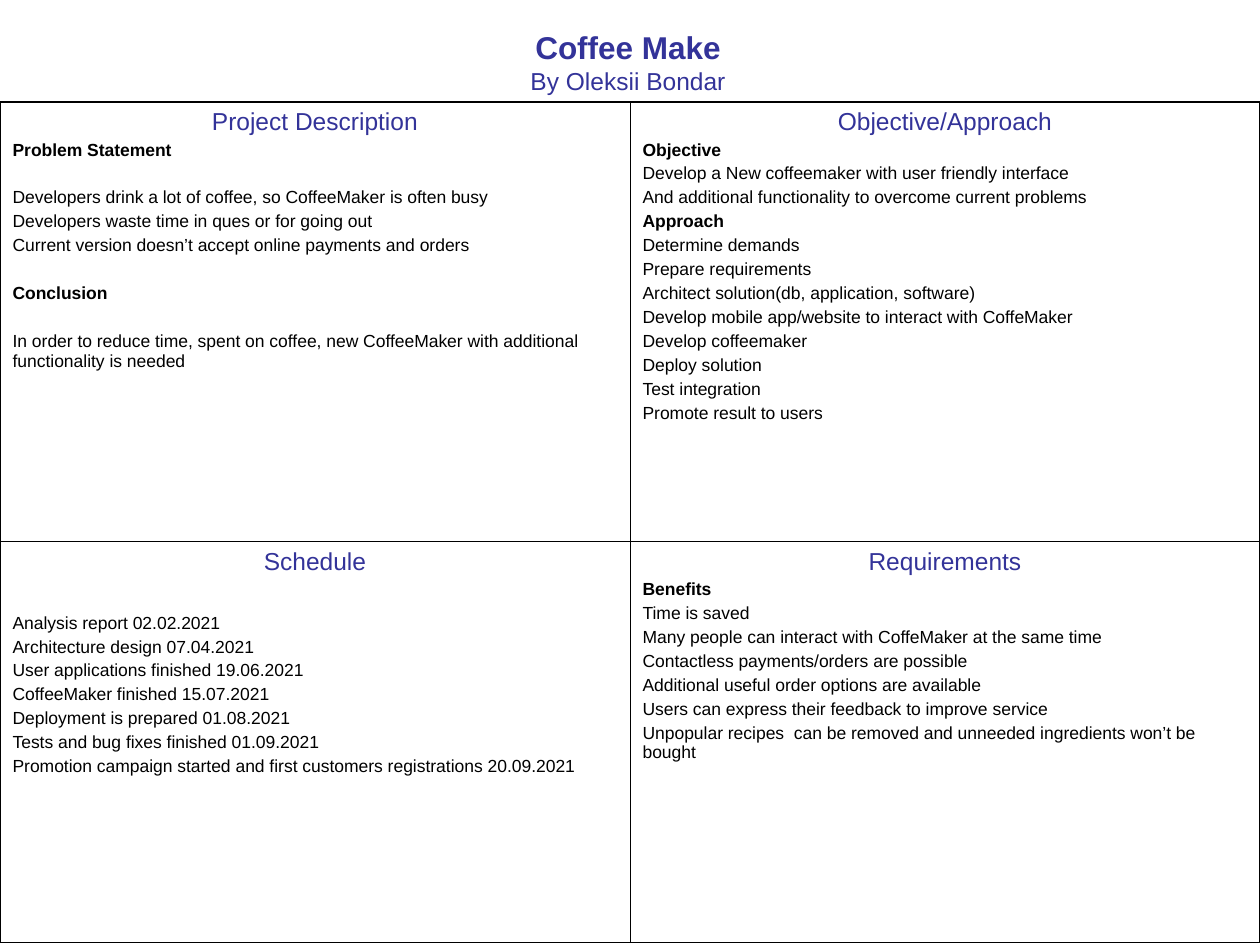
from lxml import etree
from pptx import Presentation
from pptx import util as u
from pptx.dml import color
from pptx.enum import text
from pptx.oxml import ns

BLUE, BLACK = "333399", "000000"
OUTER, INNER = 1.08, 0.45
LINE_GAP, BLANK_GAP, SCHEDULE_GAP = 2.5, 16.2, 21.6

HEADING = [("Coffee Make", 18, True), ("By Oleksii Bondar", 14, False)]

QUADRANTS = [
    [
        ("Project Description", [
            ("Problem Statement", True, LINE_GAP),
            ("Developers drink a lot of coffee, so CoffeeMaker is often busy", False, BLANK_GAP),
            ("Developers waste time in ques or for going out", False, LINE_GAP),
            ("Current version doesn’t accept online payments and orders", False, LINE_GAP),
            ("Conclusion", True, BLANK_GAP),
            ("In order to reduce time, spent on coffee, new CoffeeMaker with additional "
             "functionality is needed", False, BLANK_GAP),
        ]),
        ("Objective/Approach", [
            ("Objective", True, LINE_GAP),
            ("Develop a New coffeemaker with user friendly interface", False, LINE_GAP),
            ("And additional functionality to overcome current problems", False, LINE_GAP),
            ("Approach", True, LINE_GAP),
            ("Determine demands", False, LINE_GAP),
            ("Prepare requirements", False, LINE_GAP),
            ("Architect solution(db, application, software)", False, LINE_GAP),
            ("Develop mobile app/website to interact with CoffeMaker", False, LINE_GAP),
            ("Develop coffeemaker", False, LINE_GAP),
            ("Deploy solution", False, LINE_GAP),
            ("Test integration", False, LINE_GAP),
            ("Promote result to users", False, LINE_GAP),
        ]),
    ],
    [
        ("Schedule", [
            ("Analysis report 02.02.2021", False, SCHEDULE_GAP),
            ("Architecture design 07.04.2021", False, LINE_GAP),
            ("User applications finished 19.06.2021", False, LINE_GAP),
            ("CoffeeMaker finished 15.07.2021", False, LINE_GAP),
            ("Deployment is prepared 01.08.2021", False, LINE_GAP),
            ("Tests and bug fixes finished 01.09.2021", False, LINE_GAP),
            ("Promotion campaign started and first customers registrations 20.09.2021",
             False, LINE_GAP),
        ]),
        ("Requirements", [
            ("Benefits", True, LINE_GAP),
            ("Time is saved", False, LINE_GAP),
            ("Many people can interact with CoffeMaker at the same time", False, LINE_GAP),
            ("Contactless payments/orders are possible", False, LINE_GAP),
            ("Additional useful order options are available", False, LINE_GAP),
            ("Users can express their feedback to improve service", False, LINE_GAP),
            ("Unpopular recipes  can be removed and unneeded ingredients won’t be bought",
             False, LINE_GAP),
        ]),
    ],
]
ROW_HEIGHTS = [3.49, 3.18]


def set_all(target, values):
    for name, value in values.items():
        setattr(target, name, value)


def write(frame, lines):
    for index, (words, size, bold, hex_color, centred, gap) in enumerate(lines):
        paragraph = frame.add_paragraph() if index else frame.paragraphs[0]
        alignment = text.PP_ALIGN.CENTER if centred else text.PP_ALIGN.LEFT
        set_all(paragraph, {"alignment": alignment, "space_before": u.Pt(gap)})
        run = paragraph.add_run()
        run.text = words
        set_all(run.font, {"name": "Arial", "size": u.Pt(size), "bold": bold})
        run.font.color.rgb = color.RGBColor.from_string(hex_color)


def set_borders(cell, widths):
    properties = cell._tc.get_or_add_tcPr()
    for index, (side, width) in enumerate(widths.items()):
        line = etree.Element(ns.qn(f"a:ln{side}"), w=str(u.Pt(width)))
        fill = etree.SubElement(line, ns.qn("a:solidFill"))
        etree.SubElement(fill, ns.qn("a:srgbClr"), val=BLACK)
        properties.insert(index, line)


def add_heading(slide):
    title = slide.shapes.title
    set_all(title, {"left": u.Inches(0.82), "top": u.Inches(0.17),
                    "width": u.Inches(8.33), "height": u.Inches(0.64)})
    set_all(title.text_frame, {"word_wrap": True, "auto_size": text.MSO_AUTO_SIZE.NONE,
                               "vertical_anchor": text.MSO_ANCHOR.TOP})
    write(title.text_frame,
          [(words, size, bold, BLUE, True, 0) for words, size, bold in HEADING])


def add_quadrants(slide):
    rows, columns = len(QUADRANTS), len(QUADRANTS[0])
    table = slide.shapes.add_table(rows, columns, 0, u.Inches(0.81), u.Inches(10),
                                   u.Inches(sum(ROW_HEIGHTS))).table
    set_all(table, {"first_row": False, "horz_banding": False})
    for row, quadrants in enumerate(QUADRANTS):
        table.rows[row].height = u.Inches(ROW_HEIGHTS[row])
        for column, (title, body) in enumerate(quadrants):
            cell = table.cell(row, column)
            cell.fill.background()
            set_borders(cell, {
                "L": INNER if column else OUTER,
                "R": OUTER if column == columns - 1 else INNER,
                "T": INNER if row else OUTER,
                "B": OUTER if row == rows - 1 else INNER,
            })
            write(cell.text_frame, [(title, 14, False, BLUE, True, 3.5)] + [
                (words, 10, bold, BLACK, False, gap) for words, bold, gap in body])


def main():
    presentation = Presentation()
    set_all(presentation, {"slide_width": u.Inches(10), "slide_height": u.Inches(7.5)})
    slide = presentation.slides.add_slide(presentation.slide_layouts[5])
    add_heading(slide)
    add_quadrants(slide)
    presentation.save("out.pptx")


if __name__ == "__main__":
    main()
